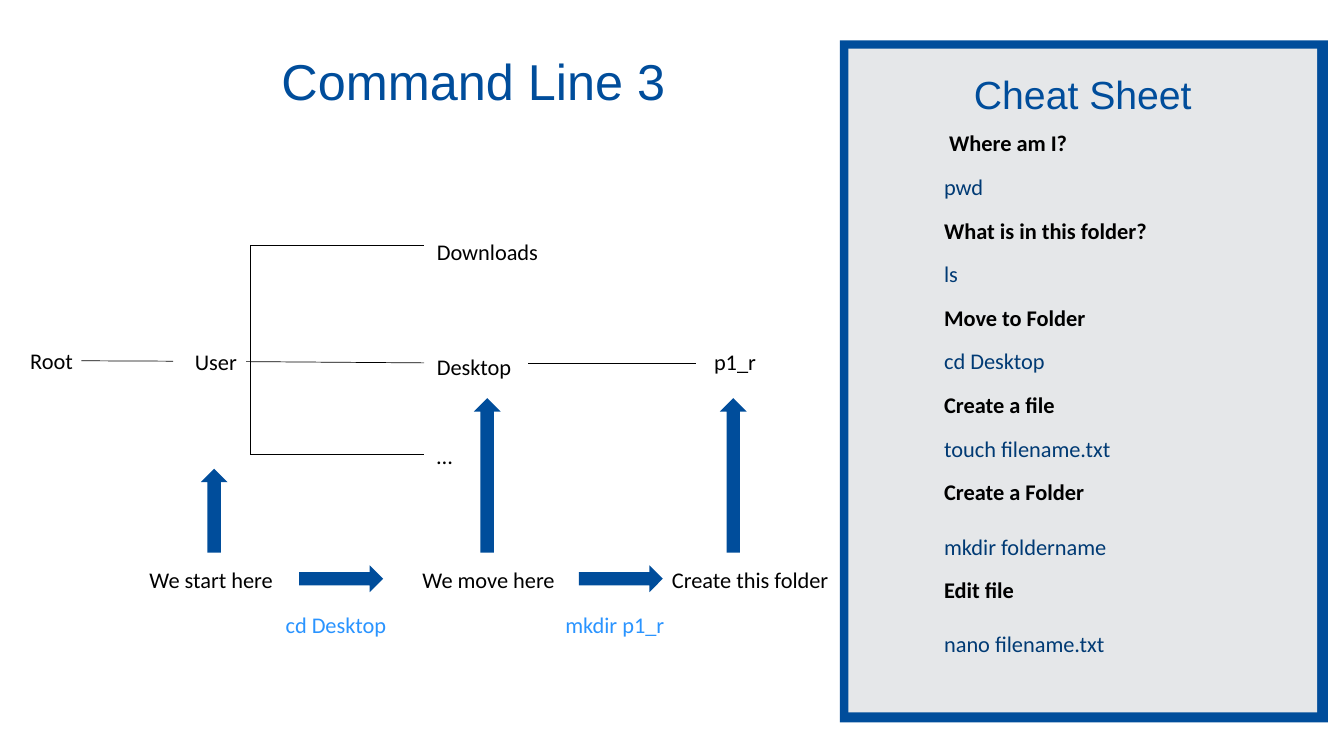
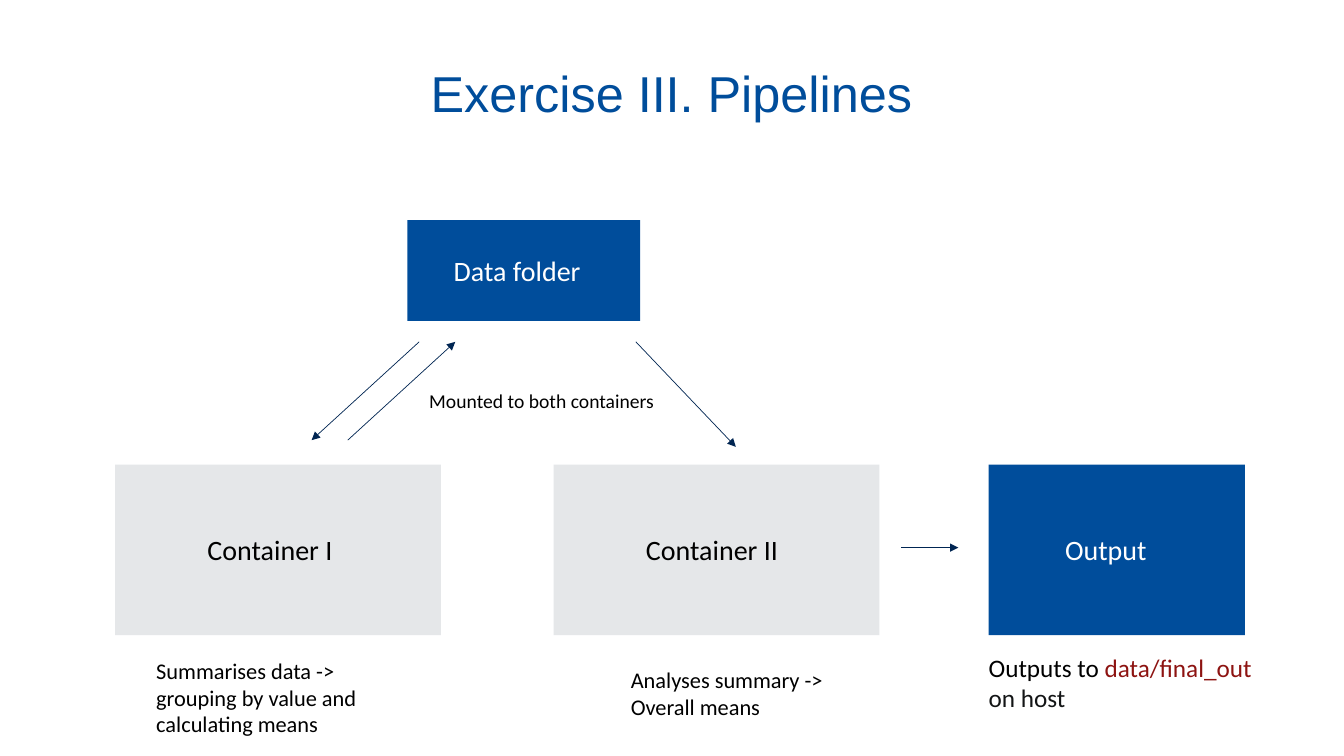
from lxml import etree
from pptx import Presentation
from pptx.dml.color import RGBColor
from pptx.enum.shapes import MSO_CONNECTOR, MSO_SHAPE
from pptx.enum.text import MSO_ANCHOR, MSO_AUTO_SIZE, PP_ALIGN
from pptx.oxml.ns import qn
from pptx.util import Inches, Pt

RECT = MSO_SHAPE.RECTANGLE
UP = MSO_SHAPE.UP_ARROW
RIGHT = MSO_SHAPE.RIGHT_ARROW
STRAIGHT = MSO_CONNECTOR.STRAIGHT
LEFT, CENTER = PP_ALIGN.LEFT, PP_ALIGN.CENTER
MIDDLE = MSO_ANCHOR.MIDDLE
GROW = MSO_AUTO_SIZE.SHAPE_TO_FIT_TEXT
EAST = 3  # connection site on the right side

# Grid of square cells, twelve to the inch
COLS, ROWS = 160, 90
CELL = Inches(1) // 12

BLUE, NAVY, INK = "004D9B", "003A74", "002552"
SKY, GREY = "2A94FF", "E5E7E9"
BLACK, WHITE, RED, DARK = "000000", "FFFFFF", "8D1311", "131516"
HEAD, BODY = "Arial", "Calibri"


def cells(*sizes):
    return [round(size * CELL) for size in sizes]


def color(code):
    return RGBColor.from_string(code)


class Deck:
    def __init__(self):
        self.prs = Presentation()
        self.prs.slide_width, self.prs.slide_height = cells(COLS, ROWS)
        self.slide = None

    def page(self):
        self.slide = self.prs.slides.add_slide(self.prs.slide_layouts[6])

    def put(self, frame, paras, size, font=BODY, align=LEFT, after=12):
        """Each paragraph is a list of (text, colour, bold) runs."""
        frame.word_wrap = True
        frame.margin_left = frame.margin_right = 0
        frame.margin_top = frame.margin_bottom = 0
        for i, runs in enumerate(paras):
            para = frame.add_paragraph() if i else frame.paragraphs[0]
            para.alignment = align
            para.space_after = Pt(after)
            for words, code, bold in runs:
                run = para.add_run()
                run.text = words
                run.font.name, run.font.size = font, Pt(size)
                run.font.bold = bold
                run.font.color.rgb = color(code)

    def block(self, x, y, w, h, paras, size=16, **style):
        box = self.slide.shapes.add_textbox(*cells(x, y, w, h))
        self.put(box.text_frame, paras, size, **style)
        box.text_frame.auto_size = GROW
        return box

    def text(self, x, y, w, words, code=BLACK, size=16, h=3.3):
        return self.block(x, y, w, h, [[(words, code, False)]], size)

    def title(self, x, y, w, words, size=36):
        self.block(x, y, w, 7, [[(words, BLUE, False)]], size,
                   font=HEAD, align=CENTER, after=0)

    def shape(self, kind, x, y, w, h, fill=BLUE):
        item = self.slide.shapes.add_shape(kind, *cells(x, y, w, h))
        item.shadow.inherit = False
        item.fill.solid()
        item.fill.fore_color.rgb = color(fill)
        item.line.fill.background()
        return item

    def card(self, x, y, w, h, fill, words, code, inset):
        frame = self.shape(RECT, x, y, w, h, fill).text_frame
        self.put(frame, [[(words, code, False)]], 20, after=0)
        frame.margin_left = cells(inset)[0]
        frame.vertical_anchor = MIDDLE

    def line(self, x1, y1, x2, y2, code=BLACK, arrow=False, start=None):
        link = self.slide.shapes.add_connector(STRAIGHT, *cells(x1, y1, x2, y2))
        if start is not None:
            link.begin_connect(start, EAST)
        link.line.color.rgb = color(code)
        link.line.width = Pt(0.5)
        props = link._element.spPr
        if arrow:
            tail = etree.SubElement(props.find(qn("a:ln")), qn("a:tailEnd"))
            tail.set("type", "triangle")
        etree.SubElement(props, qn("a:effectLst"))


def command_slide(deck):
    deck.page()
    deck.title(20, 6, 72.7, "Command Line 3")

    # Folder tree
    root = deck.text(3.6, 41.3, 6.1, "Root")
    user = deck.text(23.2, 41.4, 6.1, "User")
    for y, name in ((28.3, "Downloads"), (42, "Desktop"), (52.6, "…")):
        deck.text(52, y, 12.4, name)
    deck.text(85, 41.4, 10.9, "p1_r")
    trunk, tip, top, low = 29.8, 50.5, 29.2, 54.1
    deck.line(9.7, 43, 20.6, 43, start=root)
    deck.line(trunk, low, trunk, top)
    for y in (top, low):
        deck.line(trunk, y, tip, y)
    deck.line(29.3, 43, tip, 43.2, start=user)
    deck.line(62.9, 43.3, 82.9, 43.3)

    # Steps below the tree
    base = 65.8
    steps = ((17.8, 16.3, "We start here", 23.9, 10),
             (50.3, 16.3, "We move here", 56.4, 18.4),
             (80, 20, "Create this folder", 85.7, 18.4))
    for x, w, words, stem, rise in steps:
        deck.text(x, 67.4, w, words)
        deck.shape(UP, stem, base - rise, 3.2, rise)
    for x, words in ((35.6, "cd Desktop"), (68.9, "mkdir p1_r")):
        deck.shape(RIGHT, x, 67.3, 10, 3.2)
        deck.text(x - 1.6, 72.8, 13.2, words, SKY)

    # Cheat sheet
    deck.shape(RECT, 100, 4.8, 58.1, 81.2)
    deck.shape(RECT, 101, 5.8, 55.8, 79, GREY)
    deck.title(112.4, 8.4, 33, "Cheat Sheet", 28)
    tips = ((" Where am I?", "pwd"), ("What is in this folder?", "ls"),
            ("Move to Folder", "cd Desktop"),
            ("Create a file", "touch filename.txt"),
            ("Create a Folder", "mkdir foldername"),
            ("Edit file", "nano filename.txt"))
    paras = []
    for ask, code in tips:
        paras += [[(ask, BLACK, True)], [(code, NAVY, False)]]
    sheet = deck.block(112.4, 15.4, 40.1, 68.6, paras)
    for i in (8, 10):  # wider gap under the last two questions
        sheet.text_frame.paragraphs[i].space_after = Pt(19.5)


def pipeline_slide(deck):
    deck.page()
    deck.title(20, 7.4, 119.9, "Exercise III. Pipelines")

    # Boxes
    y, h = 55.3, 20.3
    deck.card(48.5, 26.2, 27.7, 12, BLUE, "Data folder", WHITE, 5.5)
    for x, words in ((13.7, "Container I"), (65.9, "Container II")):
        deck.card(x, y, 38.8, h, GREY, words, BLACK, 11)
    deck.card(117.7, y, 30.5, h, BLUE, "Output", WHITE, 9.1)

    # Arrows
    for ends in ((49.9, 40.7, 37.1, 52.4), (41.4, 52.4, 54.2, 40.7),
                 (75.7, 40.7, 87.6, 53.2), (107.3, 65.2, 114.1, 65.2)):
        deck.line(*ends, code=INK, arrow=True)

    # Captions
    deck.text(51.1, 46.3, 27.7, "Mounted to both containers", size=14, h=2.9)
    deck.text(18.6, 78.2, 31.3,
              "Summarises data -> grouping by value and calculating means", h=9.7)
    deck.text(75.1, 79.3, 24.6, "Analyses summary -> Overall means", h=6.5)
    deck.block(117.7, 77.6, 34, 12.4, [[("Outputs to ", BLACK, False),
                                        ("data/final_out ", RED, False),
                                        ("on host", DARK, False)]], 18)


def main():
    deck = Deck()
    command_slide(deck)
    pipeline_slide(deck)
    deck.prs.save("out.pptx")


if __name__ == "__main__":
    main()
